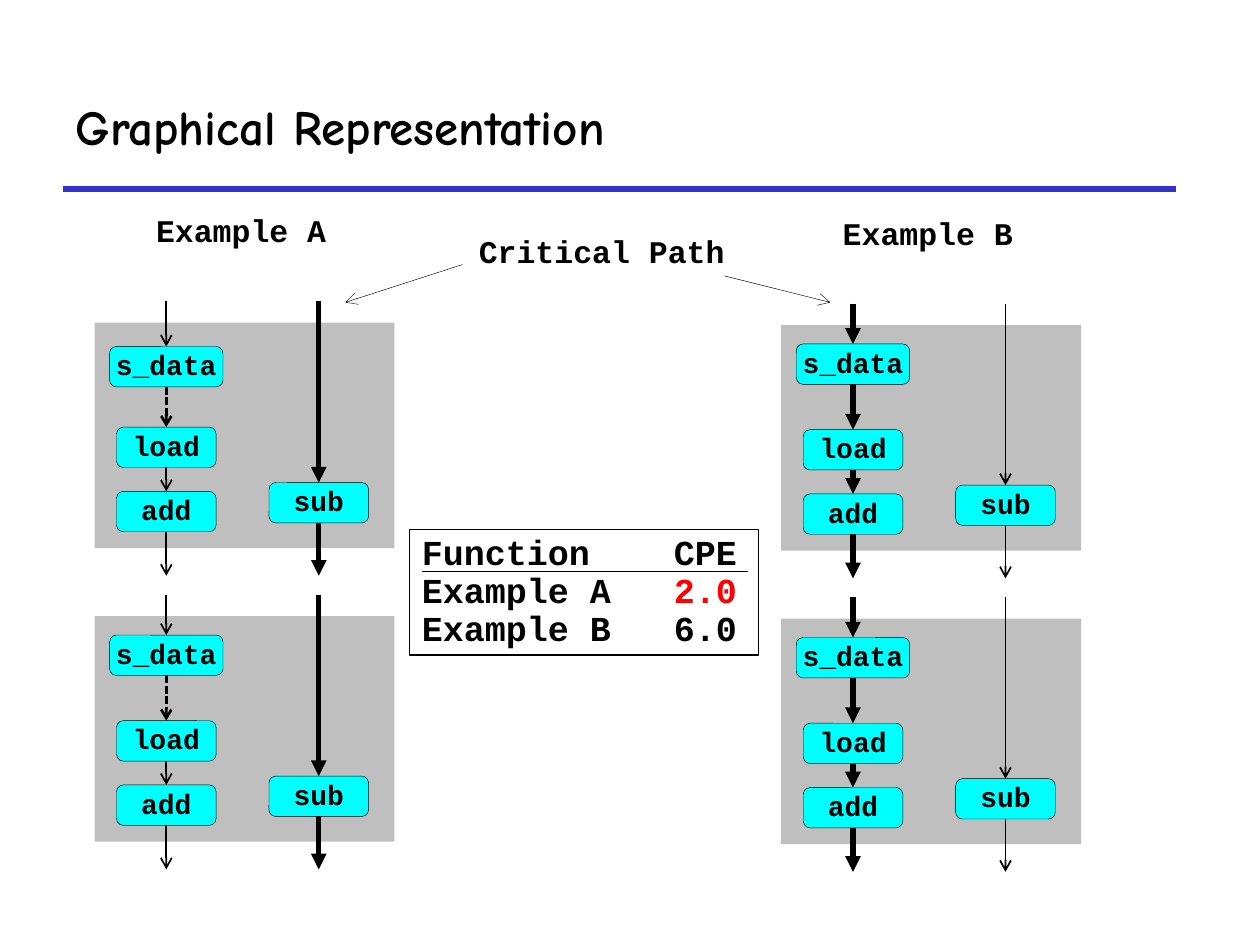
from lxml import etree
from pptx import Presentation
from pptx.dml.color import RGBColor
from pptx.enum.dml import MSO_LINE
from pptx.enum.shapes import MSO_CONNECTOR, MSO_SHAPE
from pptx.enum.text import MSO_ANCHOR, MSO_AUTO_SIZE, PP_ALIGN
from pptx.oxml.ns import qn
from pptx.util import Inches, Pt

BLACK = RGBColor(0, 0, 0)
WHITE = RGBColor(255, 255, 255)
RED = RGBColor(255, 0, 0)
BLUE = RGBColor(0x33, 0x33, 0xCC)
GRAY = RGBColor(0xBF, 0xBF, 0xBF)
CYAN = RGBColor(0, 255, 255)

STRAIGHT = MSO_CONNECTOR.STRAIGHT
RECT = MSO_SHAPE.RECTANGLE
ROUND = MSO_SHAPE.ROUNDED_RECTANGLE
MIDDLE, TOP = MSO_ANCHOR.MIDDLE, MSO_ANCHOR.TOP
CENTER, LEFT = PP_ALIGN.CENTER, PP_ALIGN.LEFT
GROW = MSO_AUTO_SIZE.SHAPE_TO_FIT_TEXT
DASH = MSO_LINE.SQUARE_DOT

SITE_TOP, SITE_BASE = 0, 2
MONO = "Courier New"

# Arrow styles: width in points, head, dash
THIN = (1, "arrow", None)
DASHED = (1.5, "arrow", DASH)
THICK = (3, "triangle", None)
FINE = (0.25, "arrow", None)


def add_line(shapes, start, end, style, color=BLACK):
    """Draw a line between two points; a point may also be (shape, site)."""
    width, head, dash = style
    ends = [(0, 0) if hasattr(p[0], "shape_id") else p for p in (start, end)]
    line = shapes.add_connector(
        STRAIGHT, *[Inches(n) for point in ends for n in point])
    if start is not ends[0]:
        line.begin_connect(*start)
    if end is not ends[1]:
        line.end_connect(*end)
    line.line.color.rgb = color
    line.line.width = Pt(width)
    if dash:
        line.line.dash_style = dash
    if head:
        tail = etree.SubElement(line.line._get_or_add_ln(), qn("a:tailEnd"))
        tail.set("type", head)
    etree.SubElement(line._element.spPr, qn("a:effectLst"))


def add_box(shapes, kind, box, fill, width=None):
    shape = shapes.add_shape(kind, *map(Inches, box))
    shape.shadow.inherit = False
    shape.fill.solid()
    shape.fill.fore_color.rgb = fill
    if width:
        shape.line.color.rgb = BLACK
        shape.line.width = Pt(width)
    else:
        shape.line.fill.background()
    return shape


def set_text(shape, text, size, align):
    frame = shape.text_frame
    frame.text = text
    for para in frame.paragraphs:
        para.alignment = align
        para.line_spacing = 0.9
        for run in para.runs:
            run.font.name = MONO
            run.font.size = Pt(size)
            run.font.bold = True
            run.font.color.rgb = BLACK


def add_node(shapes, text, mid, top, width=0.79):
    """Draw an operation box centred on mid."""
    node = add_box(shapes, ROUND, (mid - width / 2, top, width, 0.32), CYAN, 0.25)
    set_text(node, text, 16, CENTER)
    frame = node.text_frame
    frame.margin_left = frame.margin_right = 0
    frame.margin_top = frame.margin_bottom = 0
    frame.vertical_anchor = MIDDLE
    frame.word_wrap = False
    return node


def add_chain(shapes, nodes, mid, top, styles):
    """Link nodes downwards, with arrows entering from above and leaving below."""
    stops = [((mid, top - 0.17), (nodes[0], SITE_TOP))]
    for upper, lower in zip(nodes, nodes[1:]):
        stops.append(((upper, SITE_BASE), (lower, SITE_TOP)))
    stops.append(((nodes[-1], SITE_BASE), (mid, top + 2.01)))
    for (start, end), style in zip(stops, styles):
        add_line(shapes, start, end, style)


def add_panel(shapes, left, top, gap, data, loop):
    """Draw one iteration: the data chain and the loop counter."""
    add_box(shapes, RECT, (left, top, 2.38, 1.79), GRAY)
    mid = left + 0.57
    nodes = [add_node(shapes, "s_data", mid, top + gap, 0.9),
             add_node(shapes, "load", mid, top + 0.83),
             add_node(shapes, "add", mid, top + 1.34)]
    add_chain(shapes, nodes, mid, top, data)
    mid = left + 1.78
    sub = add_node(shapes, "sub", mid, top + 1.27)
    add_chain(shapes, [sub], mid, top, loop)


def add_label(shapes, text, box, align=LEFT):
    label = shapes.add_textbox(*map(Inches, box))
    label.text_frame.word_wrap = True
    label.text_frame.auto_size = GROW
    set_text(label, text, 18, align)


def add_example(shapes, name, left, top, gaps, data, loop):
    add_label(shapes, name, (left + 0.39, top - 0.9, 1.6, 0.37))
    for row, gap in enumerate(gaps):
        add_panel(shapes, left, top + row * 2.33, gap, data, loop)


def add_result(shapes, left, top):
    """Draw the box of CPE figures with its header rule."""
    group = shapes.add_group_shape().shapes
    box = add_box(group, RECT, (left, top, 2.77, 1), WHITE, 0.75)
    set_text(box, "Function\tCPE\nExample A\t2.0\nExample B\t6.0", 20, LEFT)
    frame = box.text_frame
    frame.vertical_anchor = TOP
    frame.word_wrap = True
    for para in frame.paragraphs:
        tabs = etree.SubElement(para._p.get_or_add_pPr(), qn("a:tabLst"))
        etree.SubElement(tabs, qn("a:tab"), pos=str(Inches(2)), algn="l")
    para = frame.paragraphs[1]
    name, value = para.text.split("\t")
    para.runs[0].text = name + "\t"
    run = para.add_run()
    run.text = value
    run.font.name = MONO
    run.font.size = Pt(20)
    run.font.bold = True
    run.font.color.rgb = RED
    add_line(group, (left + 0.1, top + 0.33), (left + 2.69, top + 0.33),
             (0.25, None, None))


def add_title(slide, text):
    title = slide.shapes.title
    title.left, title.top = Inches(0.5), Inches(0.5)
    title.width, title.height = Inches(8.83), Inches(1)
    frame = title.text_frame
    frame.text = text
    frame.vertical_anchor = MIDDLE
    para = frame.paragraphs[0]
    para.alignment = LEFT
    font = para.runs[0].font
    font.name = "Comic Neue"
    font.size = Pt(28)
    font.bold = True
    font.color.rgb = BLACK
    add_line(slide.shapes, (0.5, 1.5), (9.33, 1.5), (3, None, None), BLUE)


def main():
    deck = Presentation()
    deck.slide_width, deck.slide_height = Inches(10), Inches(7.5)
    slide = deck.slides.add_slide(deck.slide_layouts[5])
    shapes = slide.shapes
    add_title(slide, "Graphical Representation")
    add_example(shapes, "Example A", 0.75, 2.56, (0.19, 0.15),
                (THIN, DASHED, THIN, THIN), (THICK, THICK))
    add_example(shapes, "Example B", 6.2, 2.58, (0.15, 0.15),
                (THICK,) * 4, (THIN, THIN))
    add_label(shapes, "Critical Path", (3.39, 1.83, 2.77, 0.37), CENTER)
    add_line(shapes, (3.67, 2.1), (2.74, 2.4), FINE)
    add_line(shapes, (5.75, 2.19), (6.59, 2.4), FINE)
    add_result(shapes, 3.25, 4.2)
    deck.save("out.pptx")


if __name__ == "__main__":
    main()
